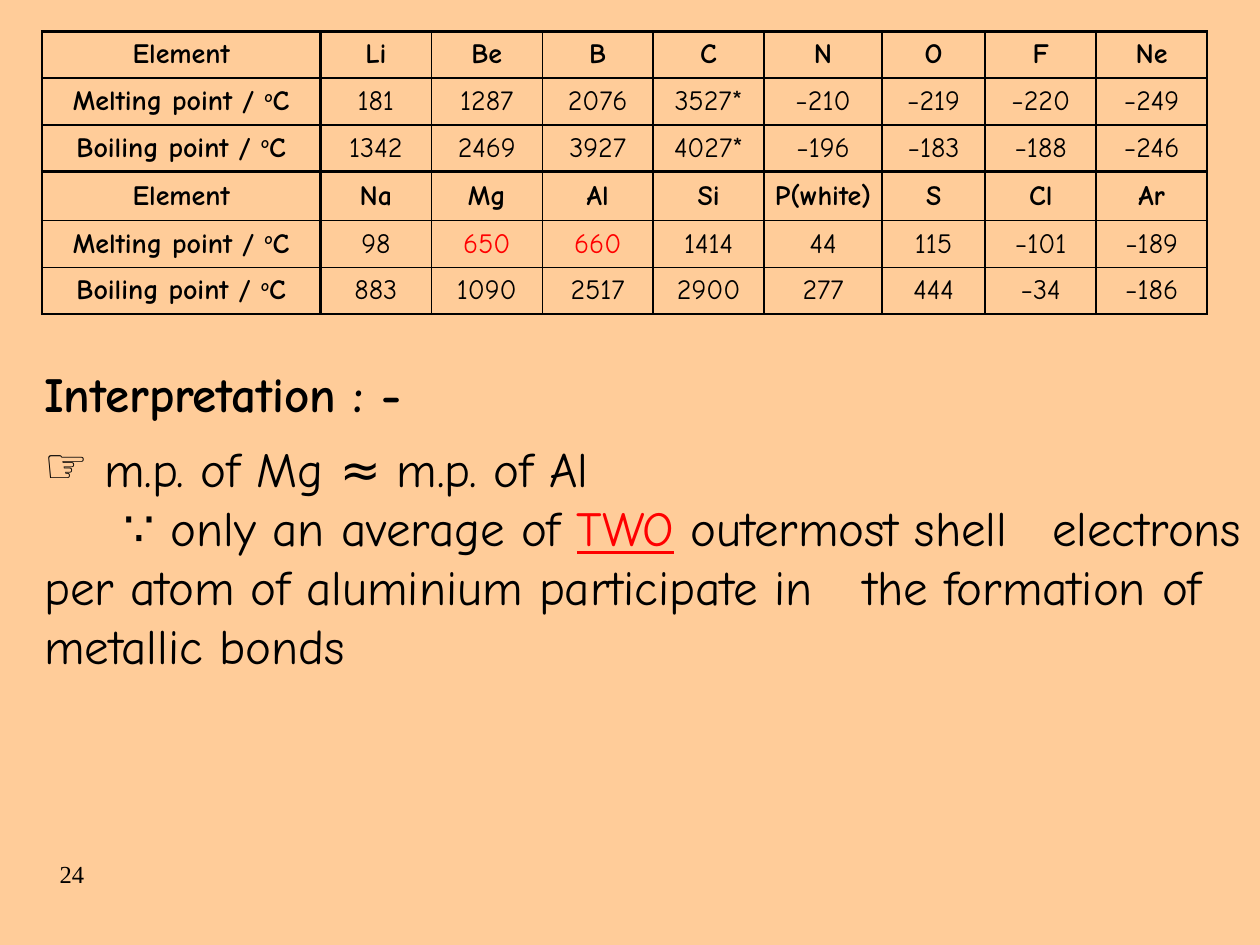
from lxml.etree import SubElement
from pptx import Presentation
from pptx.dml.color import RGBColor
from pptx.enum.text import MSO_ANCHOR, MSO_AUTO_SIZE, PP_ALIGN
from pptx.oxml import parse_xml
from pptx.oxml.ns import nsdecls, qn
from pptx.util import Pt

BLACK = RGBColor(0x00, 0x00, 0x00)
RED = RGBColor(0xFF, 0x00, 0x00)
PEACH = RGBColor(0xFF, 0xCC, 0x99)

ROWS = [
    ["Element", "Li", "Be", "B", "C", "N", "O", "F", "Ne"],
    ["Melting point / ", "181", "1287", "2076", "3527*", "−210", "−219", "−220", "−249"],
    ["Boiling point / ", "1342", "2469", "3927", "4027*", "−196", "−183", "−188", "−246"],
    ["Element", "Na", "Mg", "Al", "Si", "P(white)", "S", "Cl", "Ar"],
    ["Melting point / ", "98", "650", "660", "1414", "44", "115", "−101", "−189"],
    ["Boiling point / ", "883", "1090", "2517", "2900", "277", "444", "−34", "−186"],
]
COL_WIDTHS = [159.1, 63.4, 63.4, 63.4, 63.4, 67.4, 59, 63.4, 63.4]
ROW_HEIGHTS = [26.7, 26.7, 26.7, 28.1, 26.7, 26.7]
HIGHLIGHTS = ("650", "660")


def add_run(p, text, color=BLACK, **fmt):
    r = p.add_run()
    r.text = text
    for name, value in ({"name": "Comic Neue", "size": Pt(28), "bold": False} | fmt).items():
        setattr(r.font, name, value)
    r.font.color.rgb = color
    return r


def place(sp, left, top, width, height):
    """Position a text shape and set it up for top-left wrapped text."""
    box = {"left": left, "top": top, "width": width, "height": height}
    for name, value in box.items():
        setattr(sp, name, Pt(value))
    tf = sp.text_frame
    frame = {"word_wrap": True, "auto_size": MSO_AUTO_SIZE.NONE,
             "vertical_anchor": MSO_ANCHOR.TOP}
    for name, value in frame.items():
        setattr(tf, name, value)
    return tf


prs = Presentation()
prs.slide_width, prs.slide_height = Pt(720), Pt(540)
s = prs.slides.add_slide(prs.slide_layouts[1])
s.background.fill.solid()
s.background.fill.fore_color.rgb = PEACH

# Melting and boiling points
frame = s.shapes.add_table(len(ROWS), len(COL_WIDTHS), Pt(24), Pt(18),
                           Pt(sum(COL_WIDTHS)), Pt(sum(ROW_HEIGHTS)))
table = frame.table
table.first_row = table.horz_banding = False
for col, width in zip(table.columns, COL_WIDTHS):
    col.width = Pt(width)
for row, height in zip(table.rows, ROW_HEIGHTS):
    row.height = Pt(height)

cell_format = {"margin_left": Pt(1.5), "margin_right": Pt(1.5), "margin_top": 0,
               "margin_bottom": 0, "vertical_anchor": MSO_ANCHOR.MIDDLE}
last_col = len(COL_WIDTHS) - 1
for i, values in enumerate(ROWS):
    for j, text in enumerate(values):
        cell = table.cell(i, j)
        for name, value in cell_format.items():
            setattr(cell, name, value)
        p = cell.text_frame.paragraphs[0]
        p.alignment = PP_ALIGN.CENTER
        fmt = {"size": Pt(16), "bold": i % 3 == 0 or j == 0}
        add_run(p, text, RED if text in HIGHLIGHTS else BLACK, **fmt)
        if text.endswith("/ "):
            degree = add_run(p, "o", **fmt)
            degree._r.get_or_add_rPr().set("baseline", "30000")
            add_run(p, "C", **fmt)

        # Thick lines frame each period and the label column
        thick = {"L": j in (0, 1), "R": j in (0, last_col),
                 "T": i % 3 == 0, "B": i % 3 == 2}
        tcPr = cell._tc.get_or_add_tcPr()
        for side, is_thick in thick.items():
            width = Pt(1.5) if is_thick else Pt(1)
            tcPr.append(parse_xml(
                f'<a:ln{side} {nsdecls("a")} w="{width}"><a:solidFill>'
                f'<a:srgbClr val="{BLACK}"/></a:solidFill></a:ln{side}>'))
        cell.fill.background()

# Heading
tf = place(s.shapes.title, 18, 204, 330, 41)
p = tf.paragraphs[0]
p.alignment = PP_ALIGN.LEFT
add_run(p, "Interpretation : -", bold=True)

# Explanation
tf = place(s.placeholders[1], 18, 247, 702, 143)
bullet = tf.paragraphs[0]
add_run(bullet, " ", RED)
add_run(bullet, "m.p. of Mg ≈ m.p. of Al")
reason = tf.add_paragraph()
add_run(reason, "\t ∵ only an average of ")
add_run(reason, "TWO", RED, underline=True)
add_run(reason, " outermost shell \telectrons per atom of aluminium participate in "
                "\tthe formation of metallic bonds")
for p in (bullet, reason):
    p.space_before = Pt(0)
    pPr = p._p.get_or_add_pPr()
    pPr.set("marL", "0")
    pPr.set("indent", "0")

pPr = bullet._p.pPr
SubElement(SubElement(pPr, qn("a:buClr")), qn("a:srgbClr")).set("val", str(BLACK))
SubElement(pPr, qn("a:buFont")).set("typeface", "Comic Neue")
SubElement(pPr, qn("a:buChar")).set("char", "☞")

pPr = reason._p.pPr
SubElement(pPr, qn("a:buNone"))
tabs = SubElement(pPr, qn("a:tabLst"))
for pos in (36, 504, 576):
    tab = SubElement(tabs, qn("a:tab"))
    tab.set("pos", str(Pt(pos)))
    tab.set("algn", "l")

# Page number
tf = place(s.shapes.add_textbox(0, 0, 0, 0), 27, 487.5, 102, 36)
add_run(tf.paragraphs[0], "24", name="Times New Roman", size=Pt(14))

prs.save("out.pptx")
